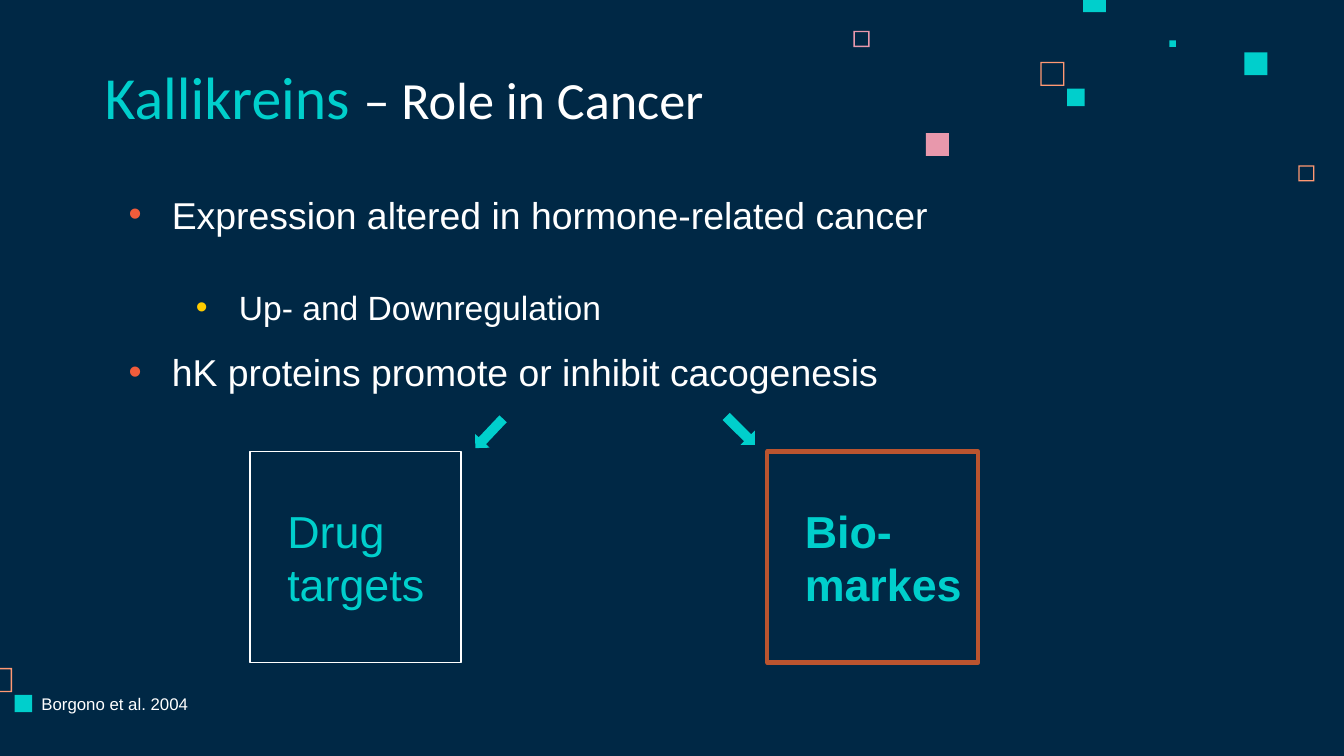
from lxml.etree import SubElement
from pptx import Presentation
from pptx.dml.color import RGBColor
from pptx.enum.shapes import MSO_SHAPE
from pptx.enum.text import MSO_ANCHOR, PP_ALIGN
from pptx.oxml.ns import qn
from pptx.util import Inches, Pt

NAVY, TEAL, WHITE = "002845", "00CFCC", "FFFFFF"
PINK, PEACH, RUST = "E898AC", "FF9973", "BA542F"
ORANGE, YELLOW = "F05C3B", "FFCC00"

SOLID_SQUARES = [
    (8.7, 0.3, 0.05, TEAL), (8.06, -0.08, 0.17, TEAL), (9.26, 0.39, 0.17, TEAL),
    (7.94, 0.66, 0.13, TEAL), (6.89, 0.99, 0.17, PINK), (0.11, 5.17, 0.13, TEAL),
]
HOLLOW_SQUARES = [
    (9.66, 1.23, 0.12, PEACH), (6.35, 0.23, 0.12, PINK),
    (7.74, 0.46, 0.18, PEACH), (-0.09, 4.97, 0.18, PEACH),
]
TITLE = [("Kallikreins ", 32, TEAL), ("– Role in Cancer", 28, WHITE)]
BULLETS = [
    ("Expression altered in hormone-related cancer", 0, 0),
    ("Up- and Downregulation", 1, 16),
    ("hK proteins promote or inhibit cacogenesis", 0, 0),
]
BULLET_LEVELS = [(20, ORANGE), (18, YELLOW)]
OUTCOMES = [
    ("Drug targets", 1.86, WHITE, 0.75, False),
    ("Bio-markes", 5.71, RUST, 2.25, True),
]
ARROWS = [(3.49, 3.15, 133.4), (5.36, 3.13, 44.9)]
OUTCOME_TOP, OUTCOME_SIDE = 3.36, 1.57
FRAME_WIDTH = 0.01


def color(value):
    return RGBColor.from_string(value)


def add_shape(page, kind, left, top, width, height, fill=None, line=None, weight=0.75):
    shape = page.shapes.add_shape(
        kind, Inches(left), Inches(top), Inches(width), Inches(height))
    shape.shadow.inherit = False
    if fill:
        shape.fill.solid()
        shape.fill.fore_color.rgb = color(fill)
    else:
        shape.fill.background()
    if line:
        shape.line.color.rgb = color(line)
        shape.line.width = Pt(weight)
    else:
        shape.line.fill.background()
    return shape


def add_box(page, left, top, width, height, inset=None):
    box = page.shapes.add_textbox(
        Inches(left), Inches(top), Inches(width), Inches(height))
    frame = box.text_frame
    frame.word_wrap = True
    if inset is not None:
        frame.margin_left = frame.margin_right = Inches(inset)
        frame.margin_top = frame.margin_bottom = Inches(inset)
    return frame


def add_span(para, text, size, fill, font="Arial", bold=False):
    span = para.add_run()
    span.text = text
    span.font.name = font
    span.font.size = Pt(size)
    span.font.bold = bold
    span.font.color.rgb = color(fill)


def set_indent(para, left, first=0):
    properties = para._p.get_or_add_pPr()
    properties.set("marL", str(Inches(left)))
    properties.set("indent", str(Inches(first)))
    return properties


def set_bullet(para, left, first, fill):
    properties = set_indent(para, left, first)
    SubElement(SubElement(properties, qn("a:buClr")), qn("a:srgbClr")).set("val", fill)
    SubElement(properties, qn("a:buFont")).set("typeface", "Arial")
    SubElement(properties, qn("a:buChar")).set("char", "•")


deck = Presentation()
deck.slide_width = Inches(10)
deck.slide_height = deck.slide_width * 9 // 16
page = deck.slides.add_slide(deck.slide_layouts[6])
page.background.fill.solid()
page.background.fill.fore_color.rgb = color(NAVY)

for left, top, side, fill in HOLLOW_SQUARES:
    square = add_shape(page, MSO_SHAPE.FRAME, left, top, side, side, fill=fill)
    square.adjustments[0] = FRAME_WIDTH / side
for left, top, side, fill in SOLID_SQUARES:
    add_shape(page, MSO_SHAPE.RECTANGLE, left, top, side, side, fill=fill)

body = add_box(page, 0.68, 1.16, 8.07, 4.14, inset=0.1)
for index, (text, level, before) in enumerate(BULLETS):
    para = body.add_paragraph() if index else body.paragraphs[0]
    size, bullet = BULLET_LEVELS[level]
    para.level = level
    para.line_spacing = 1.5
    para.space_before = Pt(before)
    set_bullet(para, 0.5 * (level + 1), -0.32, bullet)
    add_span(para, text, size, WHITE)

title = add_box(page, 0.68, 0.45, 5.17, 0.63, inset=0.1)
title.vertical_anchor = MSO_ANCHOR.BOTTOM
for text, size, fill in TITLE:
    add_span(title.paragraphs[0], text, size, fill, font="Calibri")

citation = add_box(page, 0.21, 5.11, 1.6, 0.25)
add_span(citation.paragraphs[0], "Borgono et al. 2004", 9, WHITE)

for text, left, line, weight, bold in OUTCOMES:
    box = add_shape(page, MSO_SHAPE.RECTANGLE, left, OUTCOME_TOP,
                    OUTCOME_SIDE, OUTCOME_SIDE, line=line, weight=weight)
    box.text_frame.word_wrap = True
    box.text_frame.vertical_anchor = MSO_ANCHOR.MIDDLE
    para = box.text_frame.paragraphs[0]
    para.alignment = PP_ALIGN.LEFT
    set_indent(para, 0.18)
    add_span(para, text, 24, TEAL, bold=bold)

for left, top, angle in ARROWS:
    arrow = add_shape(page, MSO_SHAPE.RIGHT_ARROW, left, top, 0.3, 0.15, fill=TEAL)
    arrow.rotation = angle

deck.save("out.pptx")
